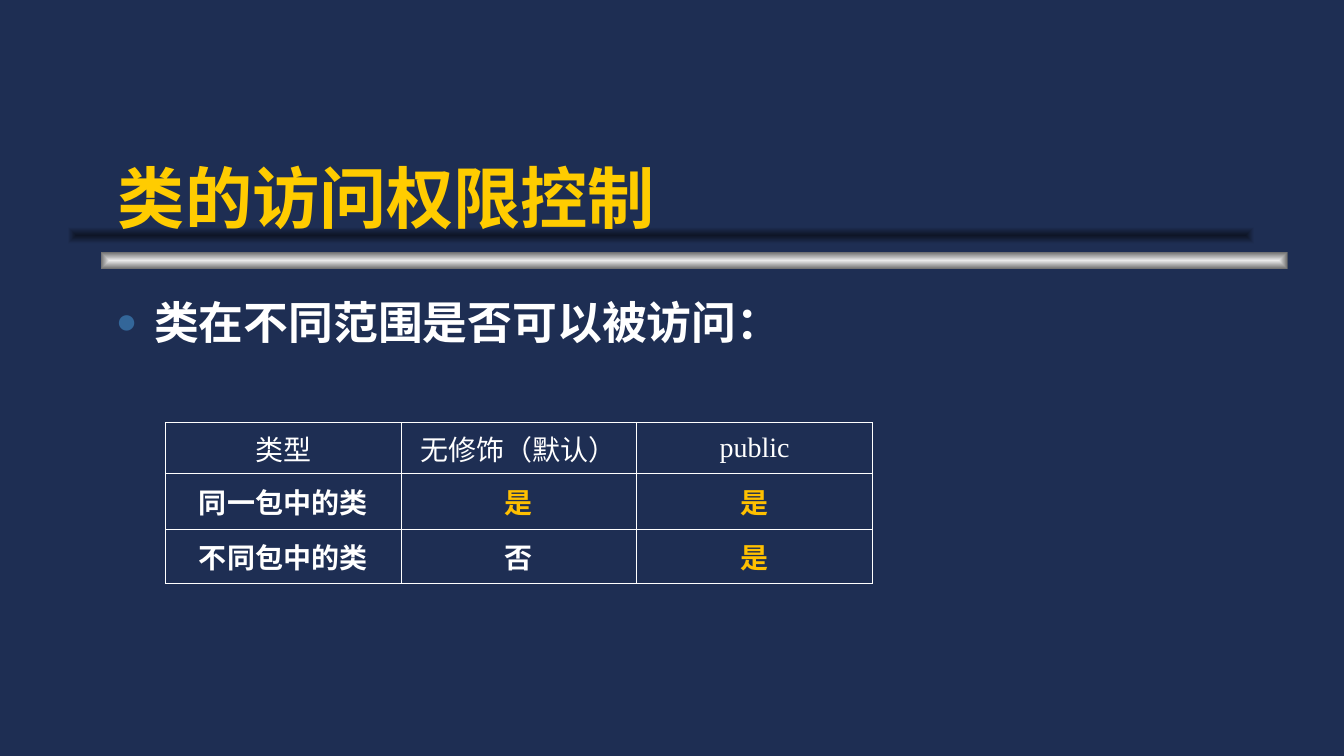
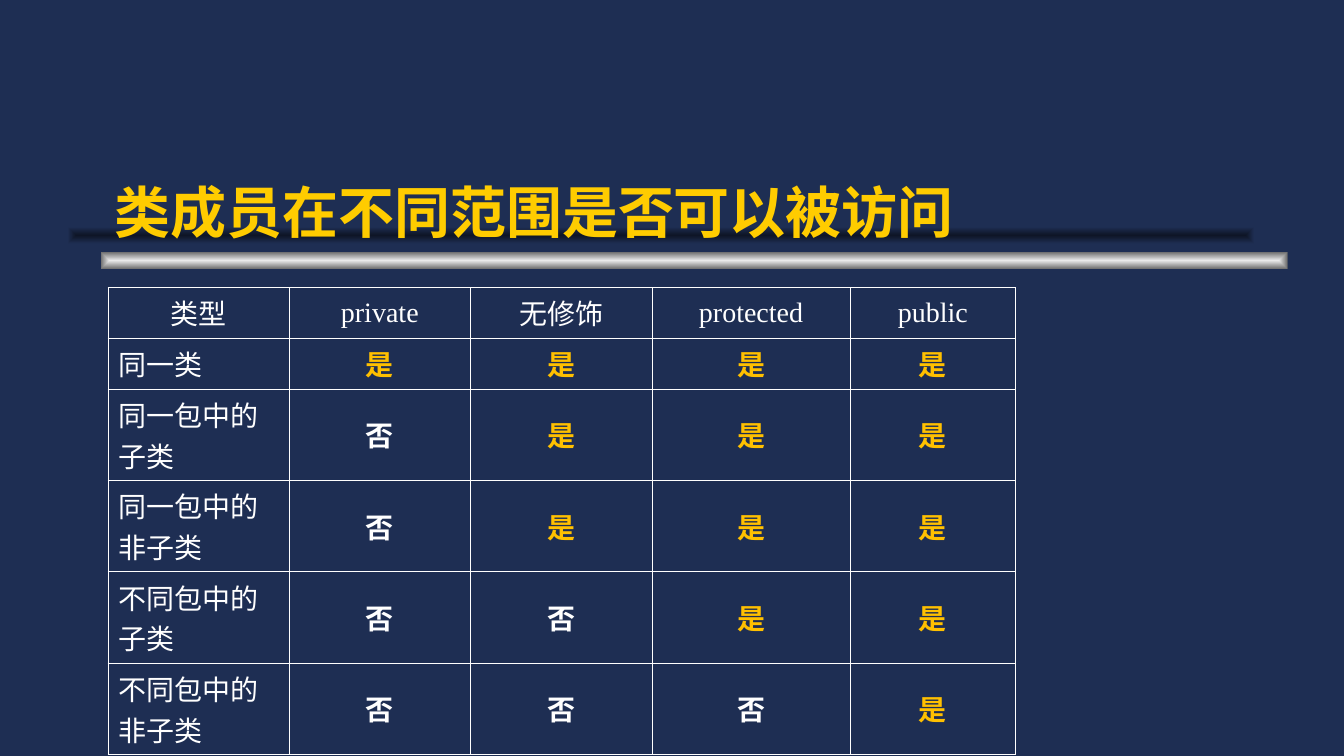
from dataclasses import dataclass

from lxml import etree
from pptx import Presentation
from pptx.dml.color import RGBColor as Rgb
from pptx.enum.shapes import MSO_SHAPE as Shape
from pptx.enum.text import MSO_ANCHOR as Anchor, MSO_AUTO_SIZE as AutoSize, PP_ALIGN as Align
from pptx.oxml import parse_xml
from pptx.oxml.ns import qn
from pptx.util import Inches, Pt

A_NS = "http://schemas.openxmlformats.org/drawingml/2006/main"


@dataclass(frozen=True)
class Theme:
    background: str = "1E2E53"
    title: str = "FFCC00"
    text: str = "FFFFFF"
    allowed: str = "FFC000"
    bullet: str = "336699"
    bar_core: str = "EAEAEA"
    bar_edge: str = "6C6C6C"
    shade_core: str = "0E1526"
    title_font: str = "Lato"
    body_font: str = "Arial"
    header_font: str = "Times New Roman"
    label_font: str = "DejaVu Sans"
    chinese_font: str = "Noto Sans CJK SC"
    title_size: int = 48
    long_title_size: int = 40
    body_size: int = 32
    table_size: int = 20
    border_width: float = 0.45


THEME = Theme()


def style(paragraph, name, size, color, bold=False, align=Align.LEFT):
    paragraph.alignment = align
    font = paragraph.font
    font.name, font.size, font.bold = name, Pt(size), bold
    font.color.rgb = Rgb.from_string(color)
    defaults = paragraph._p.pPr.find(qn("a:defRPr"))
    etree.SubElement(defaults, qn("a:ea"), typeface=THEME.chinese_font)


def place(shape, left, top, width, height):
    shape.left, shape.top = Inches(left), Inches(top)
    shape.width, shape.height = Inches(width), Inches(height)


def set_margins(target, across, down):
    target.margin_left = target.margin_right = Inches(across)
    target.margin_top = target.margin_bottom = Inches(down)


def add_master_band(master, slide, left, top, core, edge):
    band = slide.shapes.add_shape(
        Shape.RECTANGLE, Inches(left), Inches(top), Inches(11.78), Inches(0.17))
    band.shadow.inherit = False
    band.line.fill.background()
    gradient = parse_xml(
        f'<a:gradFill xmlns:a="{A_NS}" rotWithShape="1"><a:gsLst>'
        f'<a:gs pos="0"><a:srgbClr val="{core}"/></a:gs>'
        f'<a:gs pos="100000"><a:srgbClr val="{edge}"/></a:gs></a:gsLst>'
        '<a:path path="rect"><a:fillToRect l="50000" t="50000" r="50000" b="50000"/></a:path>'
        '</a:gradFill>')
    band.element.spPr.find(qn("a:prstGeom")).addnext(gradient)
    master.shapes[0].element.addprevious(band.element)


def style_master(master, slide):
    fill = master.background.fill
    fill.solid()
    fill.fore_color.rgb = Rgb.from_string(THEME.background)
    add_master_band(master, slide, 1, 2.5, THEME.bar_core, THEME.bar_edge)
    add_master_band(master, slide, 0.67, 2.25, THEME.shade_core, THEME.background)


def set_title(slide, text, size, *box):
    title = slide.shapes.title
    place(title, *box)
    frame = title.text_frame
    frame.text = text
    frame.auto_size = AutoSize.NONE
    frame.vertical_anchor = Anchor.BOTTOM
    set_margins(frame, 0.1, 0.05)
    style(frame.paragraphs[0], THEME.title_font, size, THEME.title, bold=True)


def set_bullet(slide, text, *box):
    body = slide.placeholders[1]
    place(body, *box)
    frame = body.text_frame
    frame.text = text
    frame.auto_size = AutoSize.NONE
    frame.vertical_anchor = Anchor.TOP
    set_margins(frame, 0.08, 0.04)
    paragraph = frame.paragraphs[0]
    props = paragraph._p.get_or_add_pPr()
    props.set("marL", str(Inches(0.38)))
    props.set("indent", str(-Inches(0.38)))
    color = etree.SubElement(props, qn("a:buClr"))
    etree.SubElement(color, qn("a:srgbClr"), val=THEME.bullet)
    etree.SubElement(props, qn("a:buSzPct"), val="80000")
    etree.SubElement(props, qn("a:buChar"), char="●")
    paragraph.space_before = Pt(0)
    style(paragraph, THEME.body_font, THEME.body_size, THEME.text, bold=True)


def set_borders(cell):
    props = cell._tc.get_or_add_tcPr()
    for index, side in enumerate(("lnL", "lnR", "lnT", "lnB")):
        props.insert(index, parse_xml(
            f'<a:{side} xmlns:a="{A_NS}" w="{Pt(THEME.border_width)}"><a:solidFill>'
            f'<a:srgbClr val="{THEME.text}"/></a:solidFill></a:{side}>'))


def fill_cell(cell, text, look, margin):
    cell.text = text
    cell.fill.background()
    cell.vertical_anchor = Anchor.MIDDLE
    set_margins(cell, margin, 0.05)
    set_borders(cell)
    for paragraph in cell.text_frame.paragraphs:
        style(paragraph, size=THEME.table_size, **look)


def cell_look(row, column, text, label_look):
    if row and column:
        color = THEME.allowed if text == "是" else THEME.text
        return dict(name=THEME.chinese_font, color=color, bold=True, align=Align.CENTER)
    if row:
        return label_look
    return dict(name=THEME.header_font, color=THEME.text, align=Align.CENTER)


def add_access_table(slide, left, top, widths, heights, rows, label_look, margin):
    table = slide.shapes.add_table(
        len(heights), len(widths), Inches(left), Inches(top),
        Inches(sum(widths)), Inches(sum(heights))).table
    table.first_row = table.horz_banding = False
    for column, width in zip(table.columns, widths):
        column.width = Inches(width)
    for table_row, height in zip(table.rows, heights):
        table_row.height = Inches(height)
    for r, texts in enumerate(rows):
        for c, text in enumerate(texts):
            fill_cell(table.cell(r, c), text, cell_look(r, c, text, label_look), margin)


def build_class_slide(slide):
    set_title(slide, "类的访问权限控制", THEME.title_size, 1.07, 1.15, 7.83, 1.25)
    set_bullet(slide, "类在不同范围是否可以被访问：", 1.07, 2.88, 8.5, 4.18)
    rows = [
        ("类型", "无修饰（默认）", "public"),
        ("同一包中的类", *"是是"),
        ("不同包中的类", *"否是"),
    ]
    labels = dict(name=THEME.label_font, color=THEME.text, bold=True, align=Align.CENTER)
    add_access_table(slide, 1.64, 4.19, [2.34] * 3, [0.45, 0.56, 0.53], rows, labels, 0.1)


def build_member_slide(slide):
    set_title(slide, "类成员在不同范围是否可以被访问", THEME.long_title_size,
              1.04, 1.23, 8.84, 1.25)
    rows = [
        ("类型", "private", "无修饰", "protected", "public"),
        ("同一类", *"是是是是"),
        ("同一包中的\n子类", *"否是是是"),
        ("同一包中的\n非子类", *"否是是是"),
        ("不同包中的\n子类", *"否否是是"),
        ("不同包中的\n非子类", *"否否否是"),
    ]
    labels = dict(name=THEME.header_font, color=THEME.text, align=Align.JUSTIFY)
    add_access_table(slide, 1.07, 2.85, [1.8, 1.8, 1.8, 1.97, 1.64],
                     [0.5, 0.48] + [0.74] * 4, rows, labels, 0.11)


def main():
    prs = Presentation()
    prs.slide_width, prs.slide_height = Inches(13.34), Inches(7.5)
    title_and_content, title_only = prs.slide_layouts[1], prs.slide_layouts[5]
    class_slide = prs.slides.add_slide(title_and_content)
    style_master(prs.slide_master, class_slide)
    build_class_slide(class_slide)
    build_member_slide(prs.slides.add_slide(title_only))
    prs.save("out.pptx")


if __name__ == "__main__":
    main()
